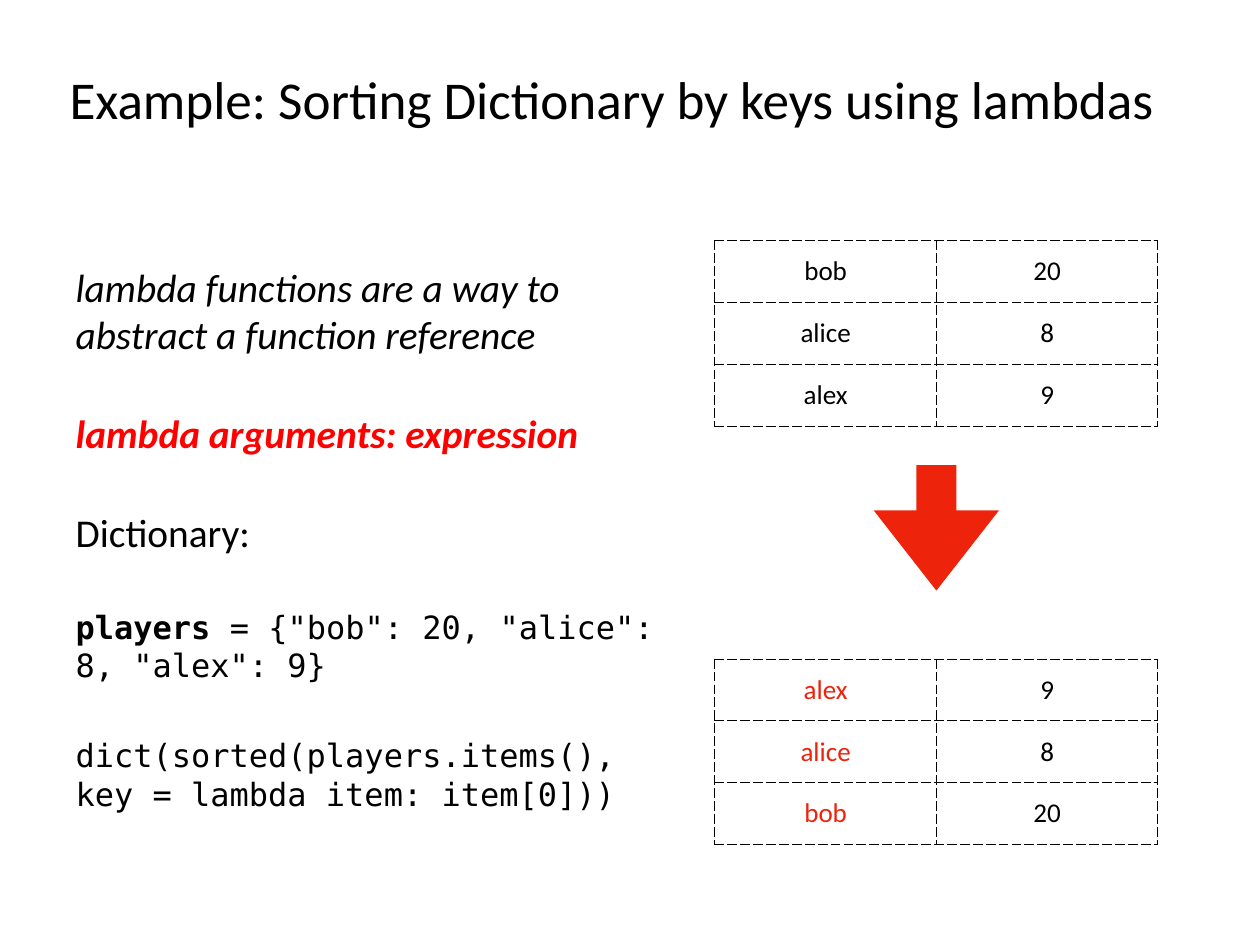
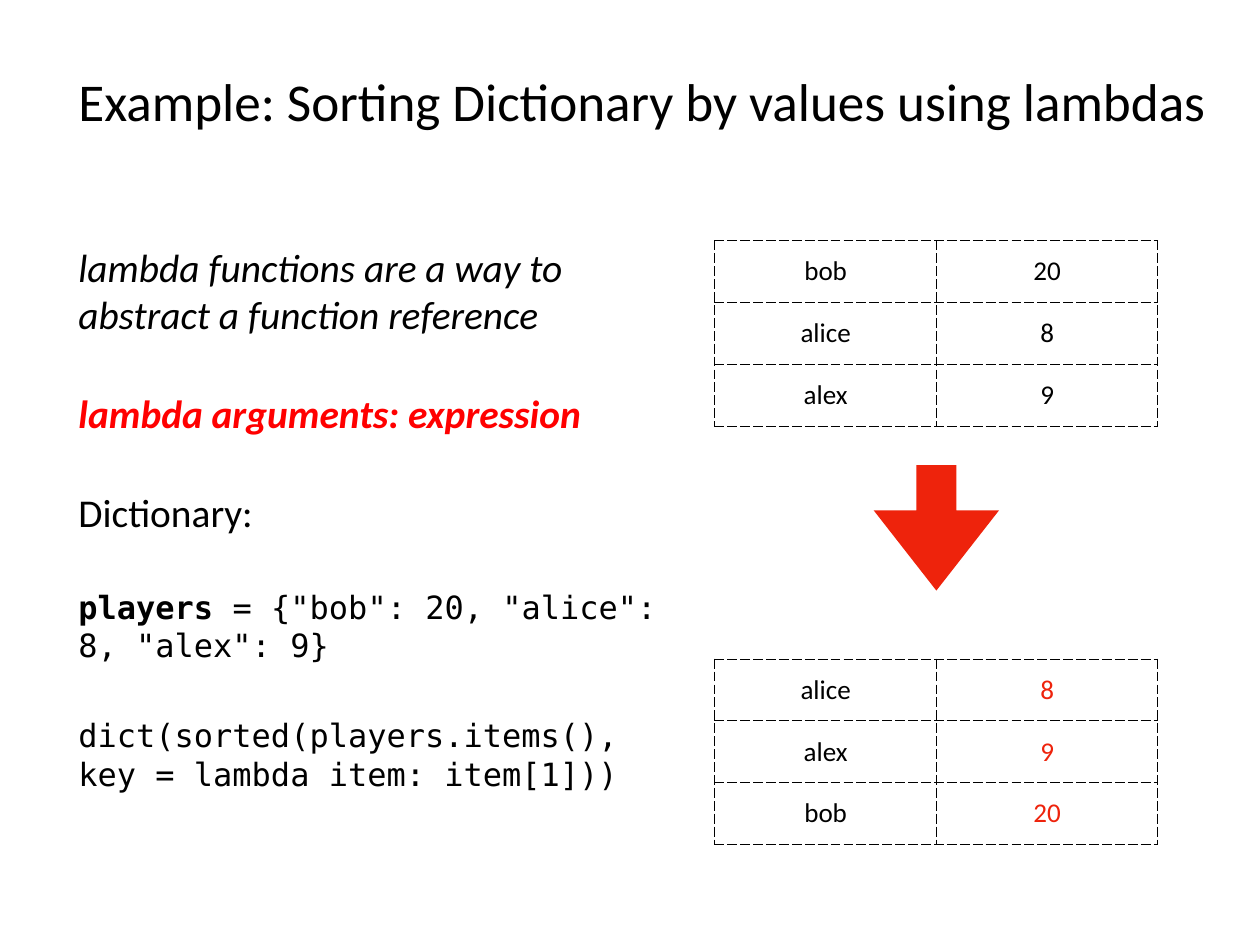
"""Build two slides on sorting a dictionary with lambdas."""
from lxml.etree import SubElement
from pptx import Presentation
from pptx.dml.color import RGBColor
from pptx.enum.shapes import MSO_SHAPE
from pptx.enum.text import MSO_ANCHOR, PP_ALIGN
from pptx.oxml.ns import qn
from pptx.util import Pt

BLACK = RGBColor(0x00, 0x00, 0x00)
RED = RGBColor(0xFF, 0x00, 0x00)
ACCENT = RGBColor(0xEE, 0x23, 0x0C)
SANS, MONO = "Calibri", "DejaVu Sans Mono"

TITLE = dict(font=SANS, size=43.2)
PROSE = dict(font=SANS, size=32)
CODE = dict(font=MONO, size=26)
ENTRY = dict(font=SANS, size=22)

PLAYERS = [("bob", 20), ("alice", 8), ("alex", 9)]
KEY, VALUE = 0, 1
EXAMPLES = [
    dict(title="Example: Sorting Dictionary by keys using lambdas", sort_by=KEY,
         title_box=(52.5, 44.5, 971, 71), body_box=(57.5, 210, 483, 550)),
    dict(title="Example: Sorting Dictionary by values using lambdas", sort_by=VALUE,
         title_box=(59.75, 46, 950, 71), body_box=(59.75, 193.75, 483, 550)),
]

INSET = 4
PARAGRAPH_GAP = 42
TABLE_LEFT, BEFORE_TOP, AFTER_TOP = 581, 195.75, 535.75
COLUMN_WIDTH, ROW_HEIGHT = 180, 50.2
ARROW_TOP, ARROW_SIZE = 378, 102


def explanation(sort_by):
    return [
        [("lambda functions are a way to abstract a function reference",
          dict(PROSE, italic=True))],
        [("lambda arguments: expression",
          dict(PROSE, italic=True, bold=True, color=RED))],
        [("Dictionary:", PROSE)],
        [("players", dict(CODE, bold=True)),
         (' = {"bob": 20, "alice": 8, "alex": 9}', CODE)],
        [(f"dict(sorted(players.items(), key = lambda item: item[{sort_by}]))", CODE)],
    ]


def add_run(paragraph, text, font, size, color=BLACK, bold=False, italic=False):
    run = paragraph.add_run()
    run.text = text
    run.font.name, run.font.size = font, Pt(size)
    run.font.bold, run.font.italic = bold, italic
    run.font.color.rgb = color


def set_insets(holder):
    holder.margin_left = holder.margin_right = Pt(INSET)
    holder.margin_top = holder.margin_bottom = Pt(INSET)


def add_text(slide, box, paragraphs, anchor=MSO_ANCHOR.TOP):
    frame = slide.shapes.add_textbox(*map(Pt, box)).text_frame
    frame.word_wrap = True
    frame.vertical_anchor = anchor
    set_insets(frame)
    for index, runs in enumerate(paragraphs):
        paragraph = frame.add_paragraph() if index else frame.paragraphs[0]
        if index:
            paragraph.space_before = Pt(PARAGRAPH_GAP)
        for text, style in runs:
            add_run(paragraph, text, **style)


def add_dashed_borders(cell):
    properties = cell._tc.get_or_add_tcPr()
    for side in ("lnL", "lnR", "lnT", "lnB"):
        border = SubElement(properties, qn(f"a:{side}"), w=str(Pt(1)))
        fill = SubElement(border, qn("a:solidFill"))
        SubElement(fill, qn("a:srgbClr"), val=str(BLACK))
        SubElement(border, qn("a:prstDash"), val="dash")


def add_players(slide, top, players, highlight=None):
    rows, columns = len(players), len(players[0])
    table = slide.shapes.add_table(
        rows, columns, Pt(TABLE_LEFT), Pt(top),
        Pt(columns * COLUMN_WIDTH), Pt(rows * ROW_HEIGHT)).table
    table.first_row = table.horz_banding = False
    for row, player in enumerate(players):
        for column, entry in enumerate(player):
            cell = table.cell(row, column)
            add_dashed_borders(cell)
            cell.fill.background()
            cell.vertical_anchor = MSO_ANCHOR.MIDDLE
            set_insets(cell)
            paragraph = cell.text_frame.paragraphs[0]
            paragraph.alignment = PP_ALIGN.CENTER
            color = ACCENT if column == highlight else BLACK
            add_run(paragraph, str(entry), color=color, **ENTRY)


def add_arrow(slide):
    left = TABLE_LEFT + COLUMN_WIDTH - ARROW_SIZE / 2
    arrow = slide.shapes.add_shape(
        MSO_SHAPE.DOWN_ARROW, Pt(left), Pt(ARROW_TOP), Pt(ARROW_SIZE), Pt(ARROW_SIZE))
    arrow.adjustments[0], arrow.adjustments[1] = 0.32, 0.64
    arrow.shadow.inherit = False
    arrow.fill.solid()
    arrow.fill.fore_color.rgb = ACCENT
    arrow.line.fill.background()


def add_example(deck, title, sort_by, title_box, body_box):
    slide = deck.slides.add_slide(deck.slide_layouts[6])
    add_text(slide, title_box, [[(title, TITLE)]], MSO_ANCHOR.MIDDLE)
    add_text(slide, body_box, explanation(sort_by))
    add_players(slide, BEFORE_TOP, PLAYERS)
    add_arrow(slide)
    ordered = sorted(PLAYERS, key=lambda player: player[sort_by])
    add_players(slide, AFTER_TOP, ordered, highlight=sort_by)


def main():
    deck = Presentation()
    deck.slide_width, deck.slide_height = Pt(1024), Pt(768)
    for example in EXAMPLES:
        add_example(deck, **example)
    deck.save("out.pptx")


if __name__ == "__main__":
    main()
